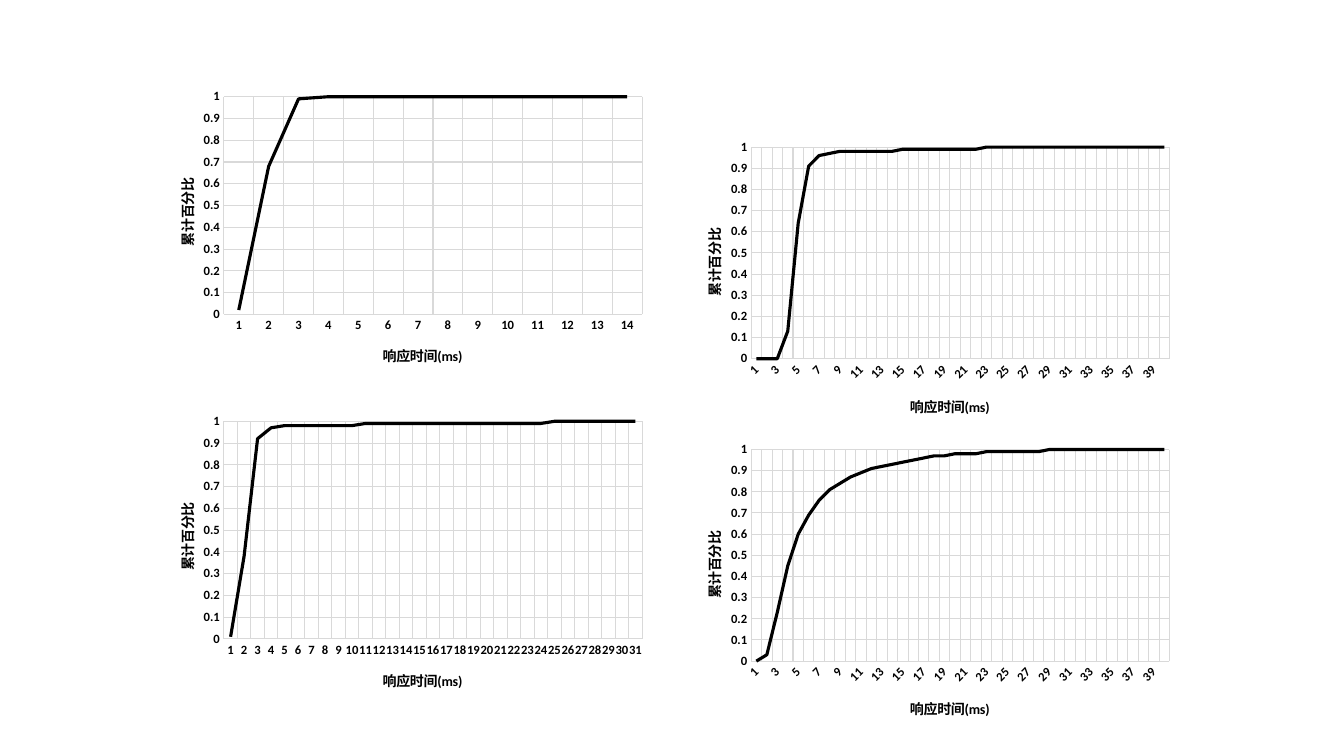
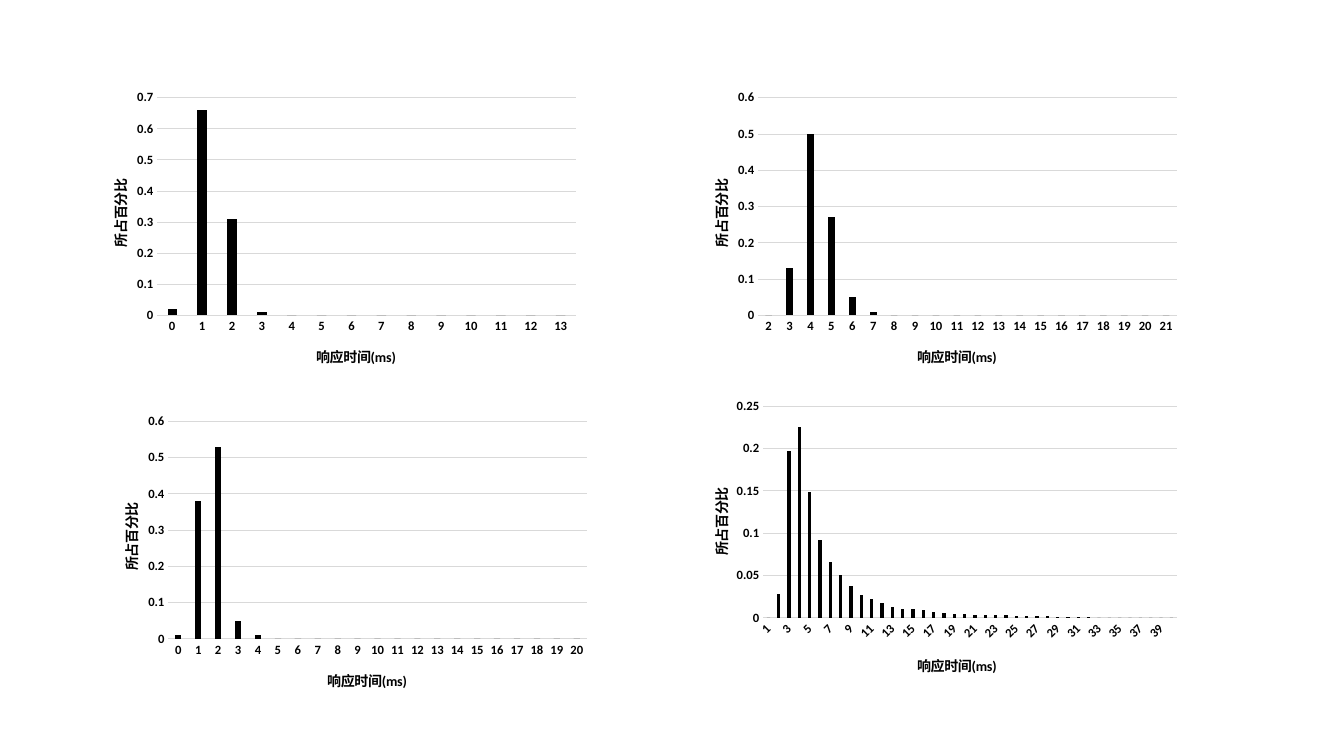
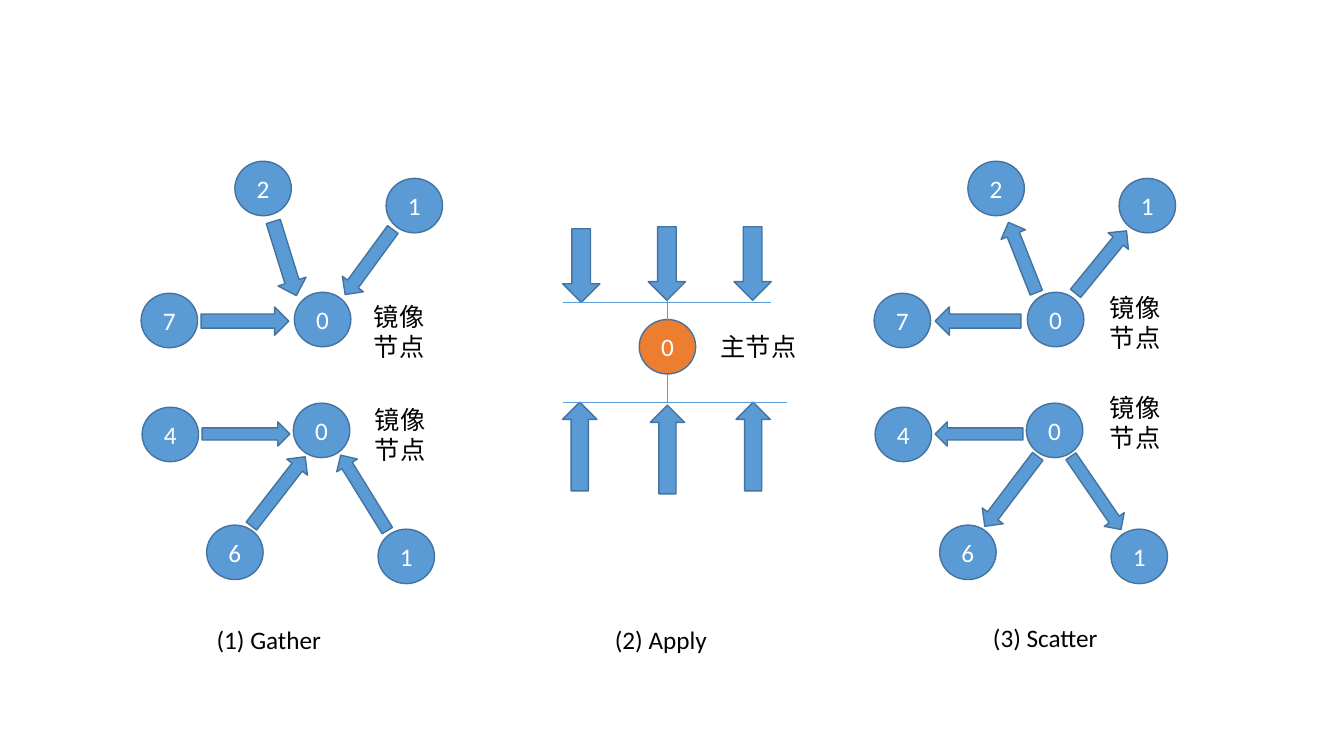
from dataclasses import dataclass

from lxml import etree
from pptx import Presentation
from pptx.chart.data import CategoryChartData
from pptx.dml.color import RGBColor
from pptx.enum.chart import XL_CHART_TYPE, XL_TICK_MARK
from pptx.enum.shapes import MSO_CONNECTOR, MSO_SHAPE
from pptx.enum.text import MSO_ANCHOR, MSO_AUTO_SIZE, PP_ALIGN
from pptx.oxml.ns import qn
from pptx.util import Inches, Pt

LINE = XL_CHART_TYPE.LINE
COLUMN = XL_CHART_TYPE.COLUMN_CLUSTERED
NO_TICK = XL_TICK_MARK.NONE
CIRCLE = MSO_SHAPE.FLOWCHART_CONNECTOR
DOWN_ARROW = MSO_SHAPE.DOWN_ARROW
STRAIGHT = MSO_CONNECTOR.STRAIGHT
MIDDLE = MSO_ANCHOR.MIDDLE
CENTER = PP_ALIGN.CENTER
GROW = MSO_AUTO_SIZE.SHAPE_TO_FIT_TEXT


@dataclass(frozen=True)
class Theme:
    font: str = "Calibri"
    ink: RGBColor = RGBColor(0x00, 0x00, 0x00)
    white: RGBColor = RGBColor(0xFF, 0xFF, 0xFF)
    grid: RGBColor = RGBColor(0xD9, 0xD9, 0xD9)
    blue: RGBColor = RGBColor(0x5B, 0x9B, 0xD5)
    outline: RGBColor = RGBColor(0x43, 0x73, 0x9E)
    orange: RGBColor = RGBColor(0xED, 0x7D, 0x31)
    body: Pt = Pt(18)
    axis_title: Pt = Pt(10)
    tick_label: Pt = Pt(9)
    hairline: Pt = Pt(0.75)


THEME = Theme()
SLIDE_WIDTH, SLIDE_HEIGHT = 13.33, 7.5
CHART_WIDTH, CHART_HEIGHT = 5, 3
NODE_WIDTH, NODE_HEIGHT = 0.56, 0.54
TIME_TITLE = "响应时间(ms)"


def style_font(font, size, color, bold=False):
    font.name = THEME.font
    font.size = size
    font.bold = bold
    font.color.rgb = color


def style_line(line, color, width):
    line.color.rgb = color
    line.width = width


def set_layout(parent, shares, inner=False):
    layout = parent.find(qn("c:layout"))
    if layout is None:
        layout = etree.Element(qn("c:layout"))
        parent.insert(0, layout)
    manual = etree.SubElement(layout, qn("c:manualLayout"))
    settings = [("layoutTarget", "inner")] if inner else []
    settings += [("xMode", "edge"), ("yMode", "edge"), *zip("xywh", shares)]
    for tag, value in settings:
        etree.SubElement(manual, qn(f"c:{tag}")).set("val", str(value))


def style_axis(axis, title, rotation, place):
    axis.major_tick_mark = axis.minor_tick_mark = NO_TICK
    style_font(axis.tick_labels.font, THEME.tick_label, THEME.ink, True)
    frame = axis.axis_title.text_frame
    run = frame.paragraphs[0].add_run()
    run.text = title
    style_font(run.font, THEME.axis_title, THEME.ink, True)
    body = frame._txBody.find(qn("a:bodyPr"))
    body.set("rot", str(rotation))
    body.set("vert", "horz")
    set_layout(axis.axis_title._element, place)


def add_time_chart(slide, kind, left, top, first, values, title, step, plot_box):
    data = CategoryChartData()
    data.categories = [str(first + index) for index in range(len(values))]
    data.add_series("Series 1", values)
    chart = slide.shapes.add_chart(
        kind, Inches(left), Inches(top),
        Inches(CHART_WIDTH), Inches(CHART_HEIGHT), data).chart
    chart.has_title = chart.has_legend = False
    style_font(chart.font, THEME.axis_title, THEME.ink)

    time_axis, share_axis = chart.category_axis, chart.value_axis
    style_axis(time_axis, TIME_TITLE, 0, (0.46, 0.86))
    style_axis(share_axis, title, -5400000, (0.05, 0.31))
    labels = time_axis._element.find(qn("c:txPr")).find(qn("a:bodyPr"))
    labels.set("rot", "-60000000")
    labels.set("vert", "horz")
    style_line(time_axis.format.line, THEME.grid, THEME.hairline)
    share_axis.format.line.fill.background()
    share_axis.minimum_scale = 0
    share_axis.major_unit = step
    time_axis.has_major_gridlines = kind == LINE
    share_axis.has_major_gridlines = True
    for axis in (time_axis, share_axis):
        if axis.has_major_gridlines:
            style_line(axis.major_gridlines.format.line, THEME.grid, THEME.hairline)

    plot = chart.plots[0]
    plot.vary_by_categories = False
    series = plot.series[0]
    if kind == LINE:
        share_axis.maximum_scale = 1
        series.smooth = False
        style_line(series.format.line, THEME.ink, Pt(2.25))
    else:
        plot.gap_width = 219
        plot.overlap = -27
        series.format.fill.solid()
        series.format.fill.fore_color.rgb = THEME.ink
    set_layout(plot._element.getparent(), plot_box, inner=True)


def add_filled_shape(slide, preset, left, top, width, height, fill):
    shape = slide.shapes.add_shape(
        preset, Inches(left), Inches(top), Inches(width), Inches(height))
    shape.shadow.inherit = False
    shape.fill.solid()
    shape.fill.fore_color.rgb = fill
    style_line(shape.line, THEME.outline, Pt(1))
    return shape


def add_node(slide, left, top, text, fill=THEME.blue):
    shape = add_filled_shape(slide, CIRCLE, left, top, NODE_WIDTH, NODE_HEIGHT, fill)
    shape.text_frame.vertical_anchor = MIDDLE
    paragraph = shape.text_frame.paragraphs[0]
    paragraph.alignment = CENTER
    run = paragraph.add_run()
    run.text = text
    style_font(run.font, THEME.body, THEME.white)


def add_arrow(slide, left, top, width, height, rotation):
    shape = add_filled_shape(slide, DOWN_ARROW, left, top, width, height, THEME.blue)
    shape.rotation = rotation


def add_label(slide, left, top, width, height, text):
    box = slide.shapes.add_textbox(
        Inches(left), Inches(top), Inches(width), Inches(height))
    box.text_frame.word_wrap = True
    box.text_frame.auto_size = GROW
    run = box.text_frame.paragraphs[0].add_run()
    run.text = text
    style_font(run.font, THEME.body, THEME.ink)


def add_rule(slide, left, top, right, bottom):
    rule = slide.shapes.add_connector(
        STRAIGHT, Inches(left), Inches(top), Inches(right), Inches(bottom))
    style_line(rule.line, THEME.blue, Pt(0.5))
    etree.SubElement(rule._element.spPr, qn("a:effectLst"))


MIRROR_NODES = [
    (1.52, 1.3, "0"), (2.43, 0.17, "1"), (0.93, 0, "2"), (0, 1.31, "7"),
    (1.51, 2.4, "0"), (2.35, 3.65, "1"), (0.65, 3.61, "6"), (0.01, 2.44, "4"),
]
GATHER_ARROWS = [
    (2.13, 0.6, 0.26, 0.8, 36.2), (1.28, 0.58, 0.29, 0.77, 342.7),
    (0.89, 1.15, 0.28, 0.87, 270), (2.09, 2.85, 0.24, 0.88, 148.3),
    (1.23, 2.84, 0.26, 0.87, 217.8), (0.92, 2.27, 0.24, 0.87, 270),
]
SCATTER_ARROWS = [
    (2.12, 0.6, 0.26, 0.8, 219.2), (1.34, 0.58, 0.26, 0.75, 158.4),
    (0.89, 1.16, 0.28, 0.85, 90), (2.08, 2.85, 0.24, 0.88, 325.6),
    (1.23, 2.84, 0.26, 0.87, 37.1), (0.92, 2.27, 0.24, 0.87, 90),
]


def add_mirror_panel(slide, left, top, arrows, label_places, caption_place, caption):
    for x, y, text in MIRROR_NODES:
        add_node(slide, left + x, top + y, text)
    for x, y, width, height, rotation in arrows:
        add_arrow(slide, left + x, top + y, width, height, rotation)
    for x, y in label_places:
        add_label(slide, left + x, top + y, 0.82, 0.71, "镜像节点")
    x, y = caption_place
    add_label(slide, left + x, top + y, 1.27, 0.4, caption)


def add_apply_panel(slide, left, top):
    for x, y in ((0, 0.67), (0.85, 0.65), (1.7, 0.65)):
        add_arrow(slide, left + x, top + y, 0.37, 0.73, 0)
    for x, y in ((0, 2.39), (0.87, 2.42), (1.72, 2.39)):
        add_arrow(slide, left + x, top + y, 0.34, 0.88, 180)
    add_node(slide, left + 0.76, top + 1.57, "0", THEME.orange)
    for x1, y1, x2, y2 in ((0, 1.4, 2.07, 1.4), (0, 2.39, 2.23, 2.39),
                           (1.04, 2.11, 1.04, 2.39), (1.04, 1.38, 1.04, 1.57)):
        add_rule(slide, left + x1, top + y1, left + x2, top + y2)
    add_label(slide, left + 1.47, top + 1.64, 1.11, 0.4, "主节点")
    add_label(slide, left + 0.42, top + 4.54, 1.27, 0.4, "(2) Apply")


def padded(values, count, filler):
    return values + [filler] * (count - len(values))


FLAT_PLOT = (0.15, 0.05, 0.83, 0.72)
SLANTED_PLOT = (0.15, 0.05, 0.83, 0.7)
NARROW_PLOT = (0.16, 0.05, 0.82, 0.7)

CUMULATIVE_CHARTS = [
    (6.7, 1.31, 1, padded([0, 0, 0, 0.13, 0.64, 0.91, 0.96, 0.97]
                          + [0.98] * 6 + [0.99] * 8, 40, 1), SLANTED_PLOT),
    (1.47, 0.81, 1, padded([0.02, 0.68, 0.99], 14, 1), FLAT_PLOT),
    (1.47, 4.03, 1, padded([0.01, 0.38, 0.92, 0.97]
                           + [0.98] * 6 + [0.99] * 14, 31, 1), FLAT_PLOT),
    (6.7, 4.31, 1, padded([0, 0.03, 0.23, 0.45, 0.6, 0.69, 0.76, 0.81, 0.84, 0.87,
                           0.89, 0.91, 0.92, 0.93, 0.94, 0.95, 0.96, 0.97, 0.97]
                          + [0.98] * 3 + [0.99] * 6, 40, 1), SLANTED_PLOT),
]
SHARE_CHARTS = [
    (0.81, 0.82, 0, padded([0.02, 0.66, 0.31, 0.01], 14, 0), 0.1, FLAT_PLOT),
    (6.77, 0.82, 2, padded([0, 0.13, 0.5, 0.27, 0.05, 0.01], 20, 0), 0.1, FLAT_PLOT),
    (0.92, 4.03, 0, padded([0.01, 0.38, 0.53, 0.05, 0.01], 21, 0), 0.1, FLAT_PLOT),
    (6.77, 3.88, 1, padded([0, 0.028, 0.197, 0.225, 0.148, 0.092, 0.066, 0.05,
                            0.037, 0.027, 0.022, 0.017, 0.013, 0.01, 0.01, 0.009,
                            0.007, 0.006, 0.005, 0.004]
                           + [0.003] * 4 + [0.002] * 4 + [0.001] * 4, 40, 0),
     0.05, NARROW_PLOT),
]


def build_cumulative_slide(slide):
    for left, top, first, values, plot_box in CUMULATIVE_CHARTS:
        add_time_chart(slide, LINE, left, top, first, values,
                       "累计百分比", 0.1, plot_box)


def build_share_slide(slide):
    for left, top, first, values, step, plot_box in SHARE_CHARTS:
        add_time_chart(slide, COLUMN, left, top, first, values,
                       "所占百分比", step, plot_box)


def build_phases_slide(slide):
    top = 1.6
    add_mirror_panel(slide, 1.4, top, GATHER_ARROWS,
                     ((2.21, 1.34), (2.22, 2.36)), (0.65, 4.54), "(1) Gather")
    add_apply_panel(slide, 5.58, top)
    add_mirror_panel(slide, 8.67, top, SCATTER_ARROWS,
                     ((2.24, 1.25), (2.24, 2.24)), (1.08, 4.52), "(3) Scatter")


def main():
    presentation = Presentation()
    presentation.slide_width = Inches(SLIDE_WIDTH)
    presentation.slide_height = Inches(SLIDE_HEIGHT)
    blank = presentation.slide_layouts[6]
    for build in (build_cumulative_slide, build_share_slide, build_phases_slide):
        build(presentation.slides.add_slide(blank))
    presentation.save("out.pptx")


if __name__ == "__main__":
    main()
